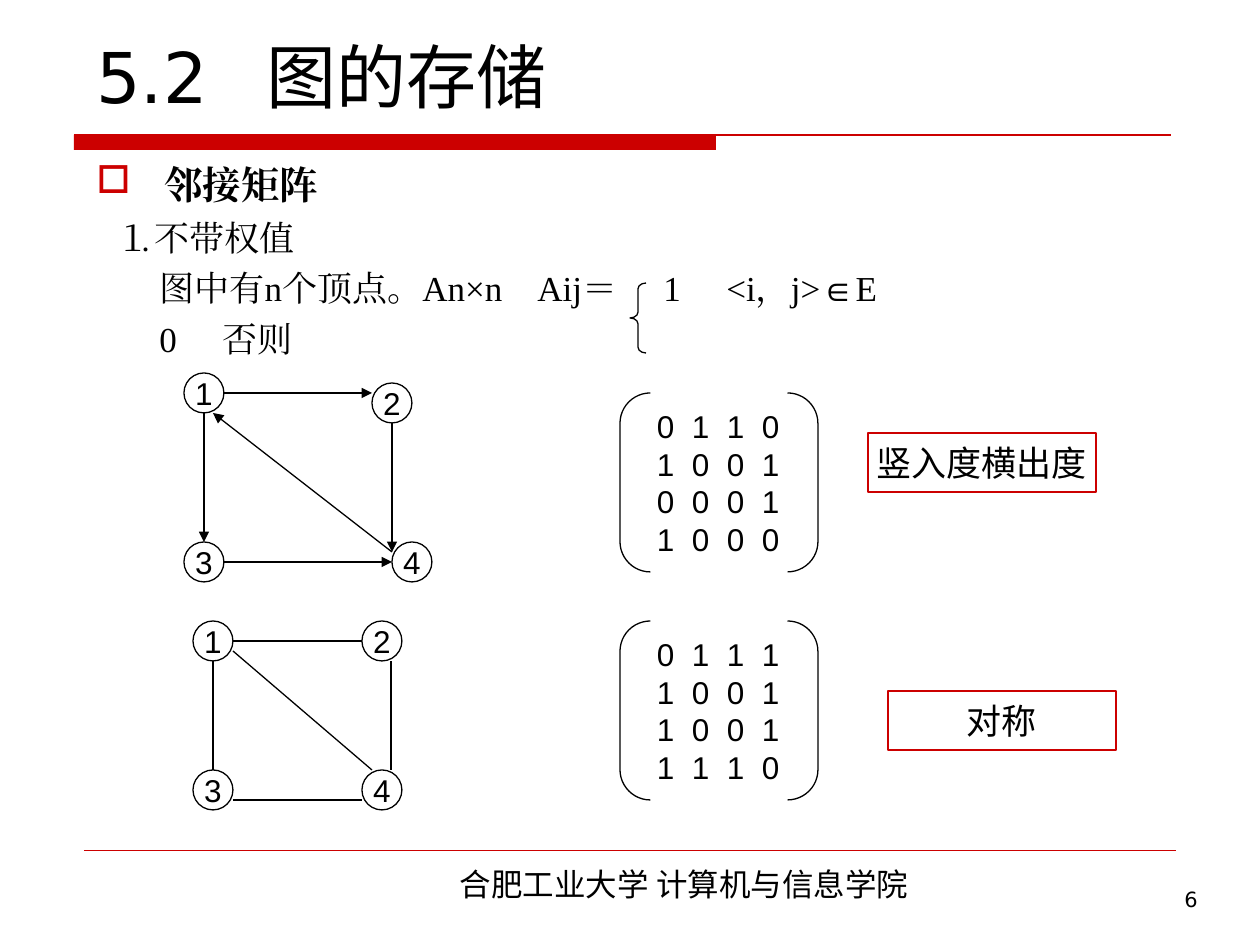
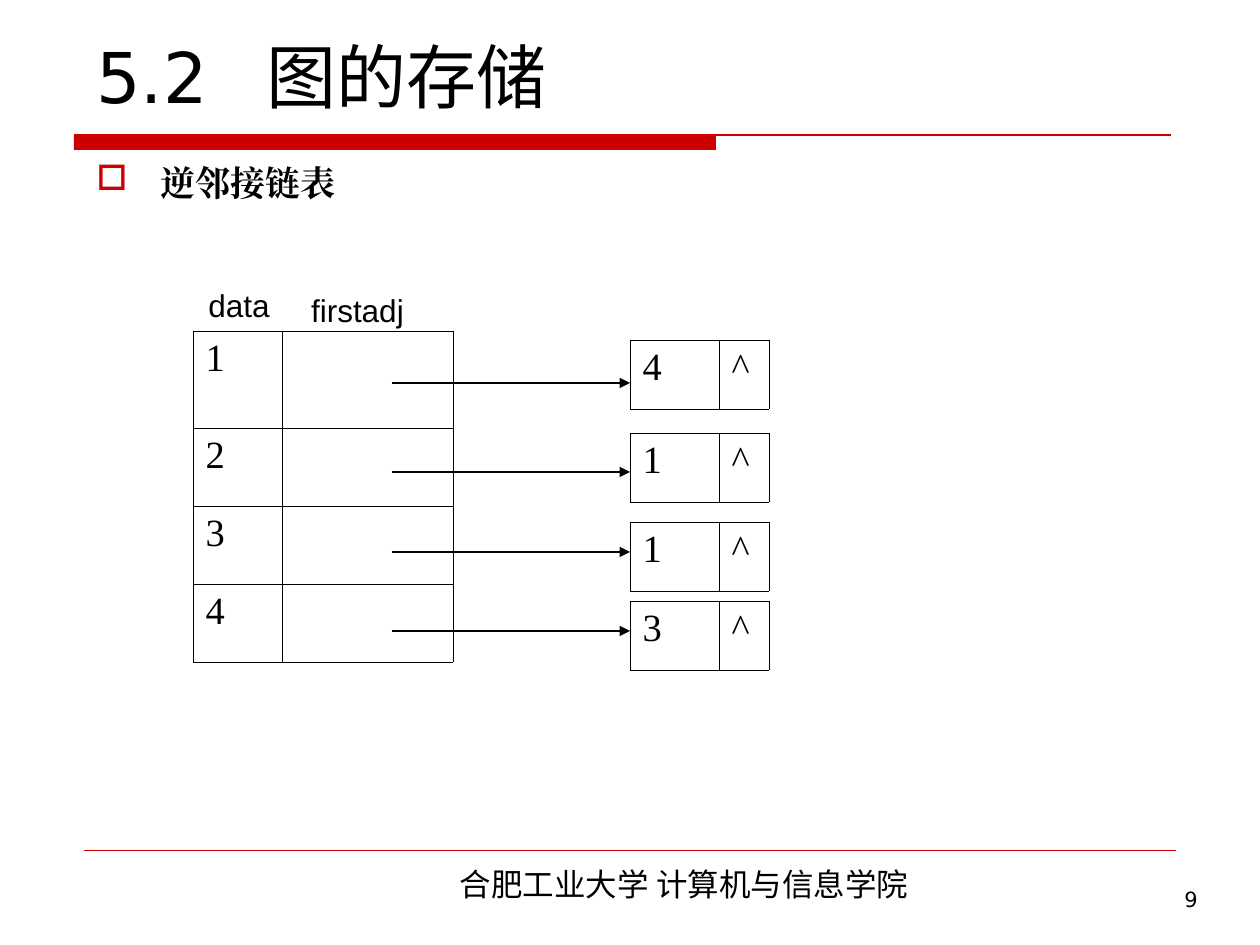
from lxml import etree
from pptx import Presentation
from pptx import util as u
from pptx.dml.color import RGBColor
from pptx.enum import shapes, text
from pptx.oxml import ns

COLORS = {"ink": "000000", "accent": "CC0000"}
SERIF, SANS, TITLE, FOOTER = "Times New Roman", "Arial", "DejaVu Sans", "Noto Sans CJK SC"
PX = 914400 / 126
SHAPE = shapes.MSO_SHAPE
ALIGN = text.PP_ALIGN
ANCHOR = text.MSO_ANCHOR
NODE = 40


def px(length):
    """Turn pixels into EMU."""
    return u.Emu(round(length * PX))


def color(name):
    """Look up a named colour."""
    return RGBColor.from_string(COLORS[name])


def add_child(parent, tag, **attributes):
    """Append a DrawingML element."""
    return etree.SubElement(parent, ns.qn(tag), attributes)


def write(para, words, size, font, bold=False, align=ALIGN.LEFT):
    """Add one formatted run to a paragraph."""
    para.alignment = align
    span = para.add_run()
    span.text = words
    span.font.size, span.font.name, span.font.bold = u.Pt(size), font, bold
    span.font.color.rgb = color("ink")
    add_child(span._r.get_or_add_rPr(), "a:ea", typeface=font)


def set_tabs(para, stops):
    """Give a paragraph left tab stops."""
    tabs = add_child(para._p.get_or_add_pPr(), "a:tabLst")
    for stop in stops:
        add_child(tabs, "a:tab", pos=str(px(stop)), algn="l")


def set_indent(para, left, first=0):
    """Set the left margin and first-line indent."""
    properties = para._p.get_or_add_pPr()
    properties.set("marL", str(px(left)))
    properties.set("indent", str(px(first)))


def add_box(page, left, top, width, height, anchor=ANCHOR.TOP, wrap=True):
    """Add an empty text box."""
    box = page.shapes.add_textbox(px(left), px(top), px(width), px(height))
    box.text_frame.word_wrap = wrap
    box.text_frame.vertical_anchor = anchor
    return box


def add_outline(page, kind, left, top, width, height, line="ink"):
    """Add an unfilled preset shape."""
    shape = page.shapes.add_shape(kind, px(left), px(top), px(width), px(height))
    shape.shadow.inherit = False
    shape.fill.background()
    shape.line.color.rgb = color(line)
    shape.line.width = u.Pt(0.75)
    shape.text_frame.vertical_anchor = ANCHOR.MIDDLE
    return shape


def add_line(page, start, end, line="ink", width=0.75, arrow=False):
    """Add a straight line, with an arrowhead if wanted."""
    connector = page.shapes.add_connector(
        shapes.MSO_CONNECTOR.STRAIGHT, *map(px, (*start, *end)))
    connector.line.color.rgb = color(line)
    connector.line.width = u.Pt(width)
    if arrow:
        add_child(connector.line._get_or_add_ln(), "a:tailEnd", type="triangle")
    add_child(connector._element.spPr, "a:effectLst")


def add_frame(deck, number):
    """Add a page with its title, red band and footer."""
    page = deck.slides.add_slide(deck.slide_layouts[6])
    band = add_outline(page, SHAPE.RECTANGLE, 74, 135, 642, 15, "accent")
    band.fill.solid()
    band.fill.fore_color.rgb = color("accent")
    band.line.fill.background()
    add_line(page, (74, 135), (1171, 135), "accent")
    add_line(page, (84, 850), (1176, 850), "accent", 0.25)
    footer = add_box(page, 302, 859, 764, 50)
    write(footer.text_frame.paragraphs[0], "合肥工业大学 计算机与信息学院", 18, FOOTER, align=ALIGN.CENTER)
    counter = add_box(page, 937, 880, 273, 65)
    write(counter.text_frame.paragraphs[0], str(number), 12, TITLE, align=ALIGN.RIGHT)
    title = add_box(page, 84, 0, 1103, 124, ANCHOR.BOTTOM).text_frame.paragraphs[0]
    set_tabs(title, [170])
    write(title, "5.2\t图的存储", 40, TITLE)
    return page


def add_heading(page, words, size, indent):
    """Add the body box with its bulleted heading."""
    body = add_box(page, 84, 155, 1101, 684)
    para = body.text_frame.paragraphs[0]
    set_indent(para, indent, -indent)
    properties = para._p.get_or_add_pPr()
    add_child(add_child(properties, "a:buClr"), "a:srgbClr", val=COLORS["accent"])
    add_child(properties, "a:buChar", char="□")
    write(para, words, size, SERIF, bold=True)
    return body


def add_definition(page, body):
    """Write the matrix definition and its brace."""
    lines = [
        ("⒈不带权值", 23, []),
        ("\t图中有n个顶点。An×n\tAij＝\t1\t<i，j>∈E", 0, [62, 455, 566, 620]),
        ("\t0\t否则", 0, [559, 629]),
    ]
    for words, indent, stops in lines:
        para = body.text_frame.add_paragraph()
        set_indent(para, indent)
        set_tabs(para, stops)
        para.space_before = u.Pt(5)
        write(para, words, 20, SERIF)
    brace = add_outline(page, SHAPE.LEFT_BRACE, 630, 283, 16, 70)
    brace.adjustments[0] = 0.36


def add_graph(page, left, top, nodes, edges, arrow):
    """Draw numbered nodes and the edges between them."""
    for number, (x, y) in enumerate(nodes, 1):
        node = add_outline(page, SHAPE.OVAL, left + x, top + y, NODE, NODE)
        node.text_frame.word_wrap = False
        write(node.text_frame.paragraphs[0], str(number), 18, SANS, align=ALIGN.CENTER)
    for x1, y1, x2, y2 in edges:
        add_line(page, (left + x1, top + y1), (left + x2, top + y2), arrow=arrow)


def add_matrix(page, left, top, rows):
    """Draw a bracketed matrix of digits."""
    bracket = add_outline(page, SHAPE.DOUBLE_BRACKET, left, top, 198, 179)
    bracket.adjustments[0] = 0.17
    frame = bracket.text_frame
    frame.margin_left, frame.margin_right = px(28), 0
    for index, row in enumerate(rows):
        para = frame.add_paragraph() if index else frame.paragraphs[0]
        set_tabs(para, [35 * column for column in range(1, len(row))])
        write(para, "\t".join(row), 18, SANS)


def add_note(page, left, top, words):
    """Add a red-framed remark."""
    note = add_outline(page, SHAPE.RECTANGLE, left, top, 228, 59, "accent")
    note.text_frame.word_wrap = False
    write(note.text_frame.paragraphs[0], words, 20, SANS, align=ALIGN.CENTER)


def add_grid(page, left, top, widths, heights, rows):
    """Add a plain table with thin black borders."""
    frame = page.shapes.add_table(
        len(heights), len(widths), px(left), px(top), px(sum(widths)), px(sum(heights)))
    table = frame.table
    table.first_row = table.horz_banding = False
    for column, width in zip(table.columns, widths):
        column.width = px(width)
    for line, height in zip(table.rows, heights):
        line.height = px(height)
    for row, words in enumerate(rows):
        for column, word in enumerate(words):
            cell = table.cell(row, column)
            for side in ("a:lnL", "a:lnR", "a:lnT", "a:lnB"):
                border = add_child(cell._tc.get_or_add_tcPr(), side, w=str(u.Pt(0.45)))
                add_child(add_child(border, "a:solidFill"), "a:srgbClr", val=COLORS["ink"])
            cell.fill.background()
            if word:
                write(cell.text_frame.paragraphs[0], word, 22, SERIF)


def add_label(page, left, top, width, height, words):
    """Add a centred column label."""
    label = add_box(page, left, top, width, height, ANCHOR.MIDDLE, wrap=False)
    write(label.text_frame.paragraphs[0], words, 18, SANS, align=ALIGN.CENTER)


def add_inverse_list(page, left, top):
    """Draw the vertex table and the list node of each vertex."""
    add_label(page, left - 9, top - 76, 110, 100, "data")
    add_label(page, left + 70, top - 66, 189, 90, "firstadj")
    add_grid(page, left, top, [89, 171], [97, 78, 78, 78], [(str(n), "") for n in range(1, 5)])
    entries = [("4", 9, 52), ("1", 102, 141), ("1", 191, 221), ("3", 270, 300)]
    for vertex, node_top, arrow_top in entries:
        add_grid(page, left + 437, top + node_top, [89, 50], [69], [(vertex, "^")])
        y = top + arrow_top
        add_line(page, (left + 199, y), (left + 437, y), arrow=True)


def build_matrix_page(deck):
    """Build the page on adjacency matrices."""
    page = add_frame(deck, 6)
    add_definition(page, add_heading(page, "邻接矩阵", 22, 68))
    add_graph(page, 184, 373, [(0, 0), (188, 10), (0, 169), (208, 169)], [
        (208, 179, 29, 40), (20, 40, 20, 169), (40, 189, 208, 189),
        (208, 50, 208, 179), (40, 20, 188, 20)], arrow=True)
    add_graph(page, 193, 621, [(0, 0), (169, 0), (0, 149), (169, 149)], [
        (20, 40, 20, 149), (40, 30, 179, 149), (40, 179, 169, 179),
        (198, 149, 198, 40), (169, 20, 40, 20)], arrow=False)
    add_matrix(page, 620, 393, ["0110", "1001", "0001", "1000"])
    add_matrix(page, 620, 621, ["0111", "1001", "1001", "1110"])
    add_note(page, 868, 433, "竖入度横出度")
    add_note(page, 888, 691, "对称")


def build_list_page(deck):
    """Build the page on inverse adjacency lists."""
    page = add_frame(deck, 9)
    add_heading(page, "逆邻接链表", 20, 64)
    add_inverse_list(page, 193, 331)


def main():
    """Build and save the deck."""
    deck = Presentation()
    deck.slide_width, deck.slide_height = px(1260), px(945)
    build_matrix_page(deck)
    build_list_page(deck)
    deck.save("out.pptx")


if __name__ == "__main__":
    main()
